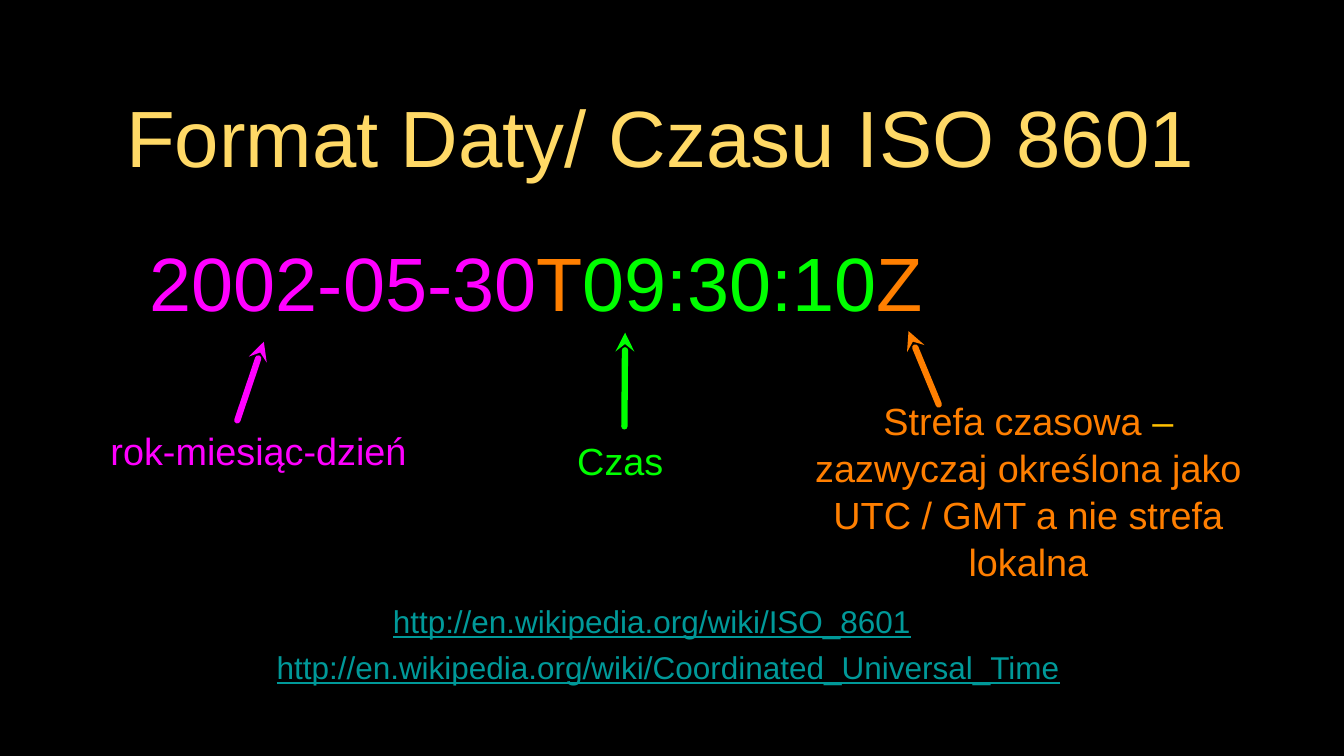
from dataclasses import dataclass

from lxml.etree import SubElement
from pptx import Presentation
from pptx.dml.color import RGBColor
from pptx.enum.shapes import MSO_CONNECTOR as Connector
from pptx.enum.text import MSO_ANCHOR as Anchor, MSO_AUTO_SIZE as AutoSize, PP_ALIGN as Align
from pptx.oxml.ns import qn
from pptx.slide import Slide
from pptx.util import Inches, Pt

WIDTH, HEIGHT = Inches(17.78), Inches(10)
COLORS = {
    "night": "000000",
    "heading": "FFD966",
    "date": "FF00FF",
    "time": "00FF00",
    "zone": "FF7F00",
    "dash": "FFC000",
    "link": "009999",
}


def color(key):
    return RGBColor.from_string(COLORS[key])


def across(percent):
    return round(WIDTH * percent / 100)


def down(percent):
    return round(HEIGHT * percent / 100)


@dataclass
class Page:
    slide: Slide
    font: str = "Arial"
    arrow_width: float = 6

    def background(self, key):
        fill = self.slide.background.fill
        fill.solid()
        fill.fore_color.rgb = color(key)

    def fill_frame(self, frame, runs, size, align, inset=0, spacing=None, underline=None):
        layout = {
            "word_wrap": True,
            "auto_size": AutoSize.NONE,
            "vertical_anchor": Anchor.MIDDLE,
            "margin_left": inset,
            "margin_right": inset,
            "margin_top": inset,
            "margin_bottom": inset,
        }
        for name, value in layout.items():
            setattr(frame, name, value)
        line = frame.paragraphs[0]
        line.alignment = align
        line.line_spacing = spacing
        style = {"name": self.font, "size": Pt(size), "underline": underline}
        for words, key in runs:
            run = line.add_run()
            run.text = words
            for name, value in style.items():
                setattr(run.font, name, value)
            run.font.color.rgb = color(key)

    def title(self, words, place, size, key):
        heading = self.slide.shapes.title
        left, top, width, height = place
        heading.left, heading.top = across(left), down(top)
        heading.width, heading.height = across(width), down(height)
        self.fill_frame(heading.text_frame, [(words, key)], size, Align.CENTER, Inches(0.04))

    def text(self, runs, place, size, align=Align.CENTER, **style):
        left, top, width, height = place
        box = self.slide.shapes.add_textbox(
            across(left), down(top), across(width), down(height)
        )
        self.fill_frame(box.text_frame, runs, size, align, **style)

    def arrow(self, tip, tail, key):
        (x1, y1), (x2, y2) = tip, tail
        pointer = self.slide.shapes.add_connector(
            Connector.STRAIGHT, across(x1), down(y1), across(x2), down(y2)
        )
        pointer.line.width = Pt(self.arrow_width)
        pointer.line.color.rgb = color(key)
        properties = pointer._element.spPr
        outline = properties.find(qn("a:ln"))
        outline.set("cap", "rnd")
        SubElement(outline, qn("a:round"))
        SubElement(outline, qn("a:headEnd"), type="stealth")
        SubElement(properties, qn("a:effectLst"))


def main():
    deck = Presentation()
    deck.slide_width, deck.slide_height = WIDTH, HEIGHT
    page = Page(deck.slides.add_slide(deck.slide_layouts[5]))
    page.background("night")
    page.title("Format Daty/ Czasu ISO 8601 ", (7.09, 8.3, 85.71, 19.4), 76, "heading")

    timestamp = [("2002-05-30", "date"), ("T", "zone"), ("09:30:10", "time"), ("Z", "zone")]
    page.text(timestamp, (11.14, 30.9, 67.1, 12.6), 72, Align.LEFT)

    page.text([("rok-miesiąc-dzień", "date")], (7.54, 56.2, 23.4, 6.8), 36)
    page.text([("Czas", "time")], (39.09, 57.5, 14.12, 6.8), 36)
    zone_note = [
        ("Strefa czasowa ", "zone"),
        ("–", "dash"),
        (" zazwyczaj określona jako UTC / GMT a nie strefa lokalna", "zone"),
    ]
    page.text(zone_note, (60.24, 55.7, 32.56, 18.2), 36, spacing=1.04)

    references = [
        ("http://en.wikipedia.org/wiki/ISO_8601", (22.72, 78.7, 51.57, 6.8)),
        ("http://en.wikipedia.org/wiki/Coordinated_Universal_Time", (14.4, 84.8, 70.64, 6.8)),
    ]
    for address, place in references:
        page.text([(address, "link")], place, 30, underline=True)

    pointers = [
        ((19.63, 45.2), (17.66, 55.6), "date"),
        ((46.51, 44), (46.46, 56.4), "time"),
        ((67.6, 43.8), (69.85, 53.5), "zone"),
    ]
    for tip, tail, key in pointers:
        page.arrow(tip, tail, key)

    deck.save("out.pptx")


if __name__ == "__main__":
    main()
